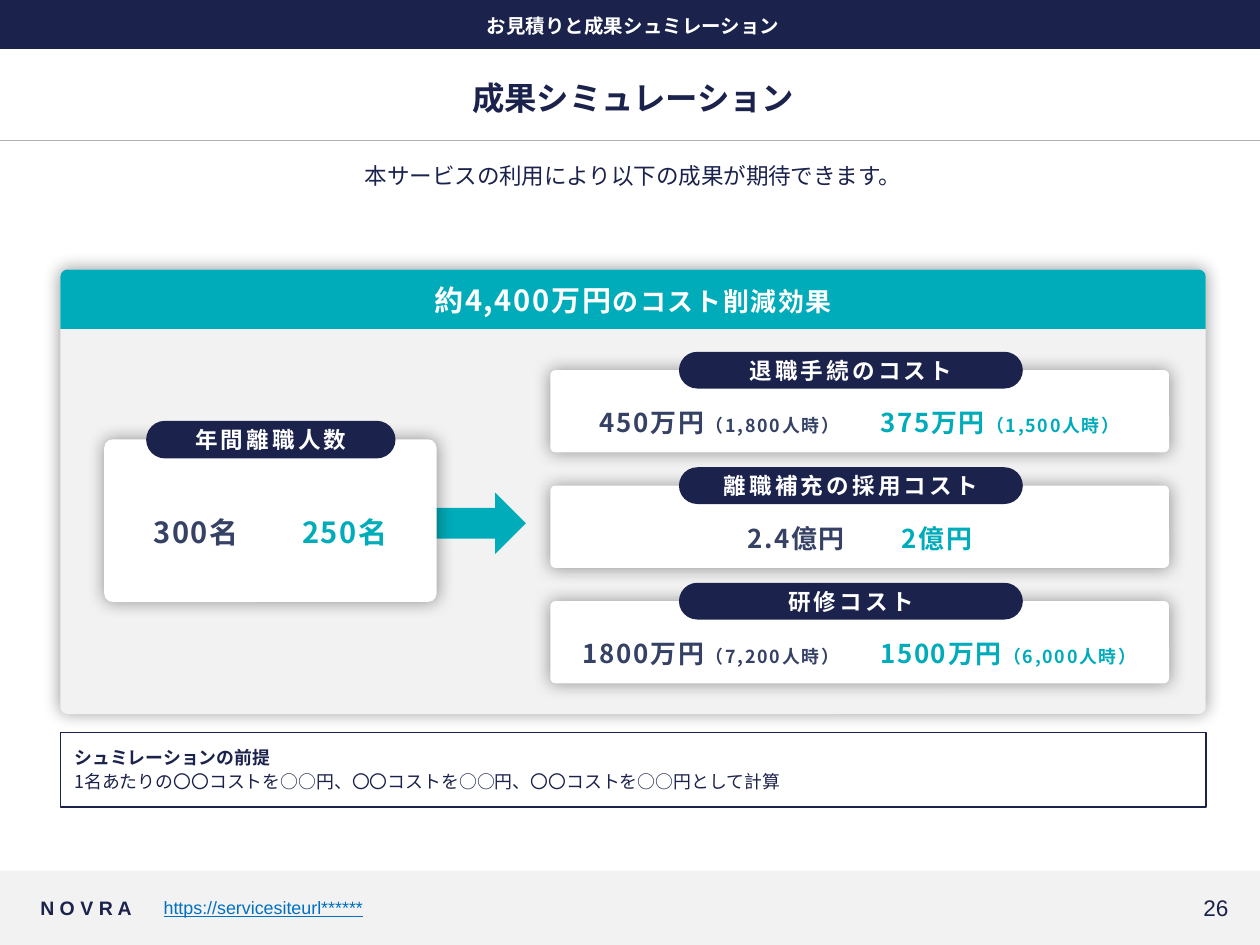
from lxml.etree import SubElement
from pptx import Presentation
from pptx.dml.color import RGBColor
from pptx.enum.shapes import MSO_CONNECTOR, MSO_SHAPE as Shape
from pptx.enum.text import MSO_ANCHOR as Anchor, MSO_AUTO_SIZE as AutoSize, PP_ALIGN as Align
from pptx.oxml.ns import qn
from pptx.util import Pt

COLORS = {"navy": "1B224C", "slate": "354165", "teal": "00ACBA", "white": "FFFFFF",
          "pale": "F2F2F2", "rule": "AFAFAF", "link": "0070C0", "black": "000000"}
JAPANESE, LATIN = "Noto Sans CJK JP", "Arial"

# Content
SECTION = "お見積りと成果シュミレーション"
TITLE = "成果シミュレーション"
LEAD = "本サービスの利用により以下の成果が期待できます。"
HEADLINE = ("約4,400万円", "のコスト削減効果")
LEAVERS = ("年間離職人数", ("300名", ""), ("250名", ""))
COSTS = [  # label, (before, hours), (after, hours)
    ("退職手続のコスト", ("450万円", "（1,800人時）"), ("375万円", "（1,500人時）")),
    ("離職補充の採用コスト", ("2.4億円", ""), ("2億円", "")),
    ("研修コスト", ("1800万円", "（7,200人時）"), ("1500万円", "（6,000人時）")),
]
NOTE = ("シュミレーションの前提",
        "1名あたりの〇〇コストを○○円、〇〇コストを○○円、〇〇コストを○○円として計算")
BRAND, URL, PAGE = "N O V R A", "https://servicesiteurl******", "26"

# Layout
PAGE_WIDTH, PAGE_HEIGHT = 720, 540
LEFT, WIDTH = 34.5, 654.5
PANEL_TOP, PANEL_HEIGHT, BAND_HEIGHT = 154, 254, 34
COST_TOP, COST_PITCH, COST_HEIGHT = 211.5, 66, 47
FOOTER_TOP, FOOTER_TEXT_TOP, FOOTER_TEXT_HEIGHT = 497.5, 507.5, 22.5


def rgb(name):
    return RGBColor.from_string(COLORS[name])


def points(box):
    return [Pt(value) for value in box]


def add_run(paragraph, text, size, color="navy", font=JAPANESE, spacing=0, **formats):
    run = paragraph.add_run()
    run.text = text
    for name, value in {"size": Pt(size), "name": font, **formats}.items():
        setattr(run.font, name, value)
    run.font.color.rgb = rgb(color)
    properties = run.font._element
    properties.find(qn("a:latin")).addnext(
        properties.makeelement(qn("a:ea"), {"typeface": font}))
    if spacing:
        properties.set("spc", str(round(spacing * 100)))


def set_frame(shape, anchor=Anchor.MIDDLE, inset=3, top_inset=None):
    frame = shape.text_frame
    formats = {"word_wrap": True, "auto_size": AutoSize.NONE, "vertical_anchor": anchor,
               "margin_left": Pt(inset), "margin_right": Pt(inset), "margin_bottom": Pt(inset),
               "margin_top": Pt(inset if top_inset is None else top_inset)}
    for name, value in formats.items():
        setattr(frame, name, value)
    return frame


def first_paragraph(frame, align=Align.CENTER):
    frame.paragraphs[0].alignment = align
    return frame.paragraphs[0]


def add_shape(slide, kind, box, fill, radius=None, glow=False):
    shape = slide.shapes.add_shape(kind, *points(box))
    shape.shadow.inherit = False
    shape.fill.solid()
    shape.fill.fore_color.rgb = rgb(fill)
    shape.line.fill.background()
    if radius is not None:
        shape.adjustments[0] = radius
    if glow:
        effects = shape._element.spPr.find(qn("a:effectLst"))
        shadow = SubElement(effects, qn("a:outerShdw"), blurRad=str(Pt(10)), dist="0",
                            dir="0", algn="ctr", rotWithShape="0")
        color = SubElement(shadow, qn("a:srgbClr"), val=COLORS["black"])
        SubElement(color, qn("a:alpha"), val="40000")
    return shape


def add_text(slide, box, text, size, align=Align.CENTER, anchor=Anchor.MIDDLE, **formats):
    frame = set_frame(slide.shapes.add_textbox(*points(box)), anchor)
    add_run(first_paragraph(frame, align), text, size, **formats)


def add_card(slide, box, pill_box, content, size, radius):
    label, before, after = content
    card = add_shape(slide, Shape.ROUNDED_RECTANGLE, box, "white", radius, glow=True)
    paragraph = first_paragraph(set_frame(card, inset=5, top_inset=18))
    for (amount, hours), color in ((before, "slate"), (after, "teal")):
        style = {"color": color, "bold": True, "spacing": 1}
        add_run(paragraph, amount, size, **style)
        if hours:
            add_run(paragraph, hours, 10.2, **style)
        if color == "slate":  # one wide space parts before from after
            gap = 10.2 if hours else size
            add_run(paragraph, "\u3000", gap, **{**style, "spacing": gap + 2})
    pill = add_shape(slide, Shape.ROUNDED_RECTANGLE, pill_box, "navy", 0.5)
    add_run(first_paragraph(set_frame(pill)), label, 12.9, "white", bold=True, spacing=1.9)


def main():
    presentation = Presentation()
    presentation.slide_width, presentation.slide_height = Pt(PAGE_WIDTH), Pt(PAGE_HEIGHT)
    slide = presentation.slides.add_slide(presentation.slide_layouts[5])

    # Section bar, title, rule and lead
    add_shape(slide, Shape.RECTANGLE, (0, 0, PAGE_WIDTH, 28), "navy")
    add_text(slide, (LEFT, 5, WIDTH, 20), SECTION, 11.1, anchor=Anchor.TOP,
             color="white", bold=True)
    title = slide.shapes.title
    title.left, title.top, title.width, title.height = points((LEFT, 41.5, WIDTH, 28))
    add_run(first_paragraph(set_frame(title)), TITLE, 18.5, bold=True)
    rule = slide.shapes.add_connector(MSO_CONNECTOR.STRAIGHT, *points((0, 80, PAGE_WIDTH, 80)))
    rule.line.color.rgb = rgb("rule")
    rule.line.width = Pt(0.5)
    SubElement(rule._element.spPr, qn("a:effectLst"))
    add_text(slide, (LEFT, 89.5, WIDTH, 45), LEAD, 12.9, anchor=Anchor.TOP)

    # Panel with headline band
    add_shape(slide, Shape.ROUNDED_RECTANGLE, (LEFT, PANEL_TOP, WIDTH, PANEL_HEIGHT),
              "pale", 0.016, glow=True)
    band = add_shape(slide, Shape.ROUND_2_SAME_RECTANGLE,
                     (LEFT, PANEL_TOP, WIDTH, BAND_HEIGHT), "teal", 0.12)
    paragraph = first_paragraph(set_frame(band))
    for text, size in zip(HEADLINE, (16.6, 14.8)):
        add_run(paragraph, text, size, "white", bold=True, spacing=1)

    # Leavers lead to costs
    add_shape(slide, Shape.RIGHT_ARROW, (237.5, 281.5, 63, 35), "teal")
    add_card(slide, (59.5, 251, 190, 93), (83.5, 240.5, 142.5, 21.5), LEAVERS, 16.6, 0.054)
    for index, cost in enumerate(COSTS):
        top = COST_TOP + index * COST_PITCH
        add_card(slide, (314.5, top, 353.5, COST_HEIGHT), (388, top - 10.5, 196.5, 21),
                 cost, 14.8, 0.06)

    # Assumptions
    note = add_shape(slide, Shape.RECTANGLE, (LEFT, 418.5, WIDTH, 42.5), "white")
    note.line.color.rgb = rgb("navy")
    note.line.width = Pt(1)
    frame = set_frame(note, Anchor.TOP, inset=8)
    for index, text in enumerate(NOTE):
        paragraph = frame.add_paragraph() if index else frame.paragraphs[0]
        paragraph.alignment = Align.LEFT
        paragraph.space_after = Pt(1.9)
        add_run(paragraph, text, 10.2, bold=index == 0)

    # Footer
    add_shape(slide, Shape.RECTANGLE,
              (0, FOOTER_TOP, PAGE_WIDTH, PAGE_HEIGHT - FOOTER_TOP), "pale")
    footer = [
        (20, 70.5, BRAND, 11.1, Align.LEFT, {"bold": True}),
        (90.5, 524, URL, 10.2, Align.LEFT, {"color": "link", "underline": True}),
        (634.5, 70.5, PAGE, 12.9, Align.RIGHT, {}),
    ]
    for left, width, text, size, align, formats in footer:
        add_text(slide, (left, FOOTER_TEXT_TOP, width, FOOTER_TEXT_HEIGHT), text, size, align,
                 font=LATIN, **formats)

    presentation.save("out.pptx")


if __name__ == "__main__":
    main()
